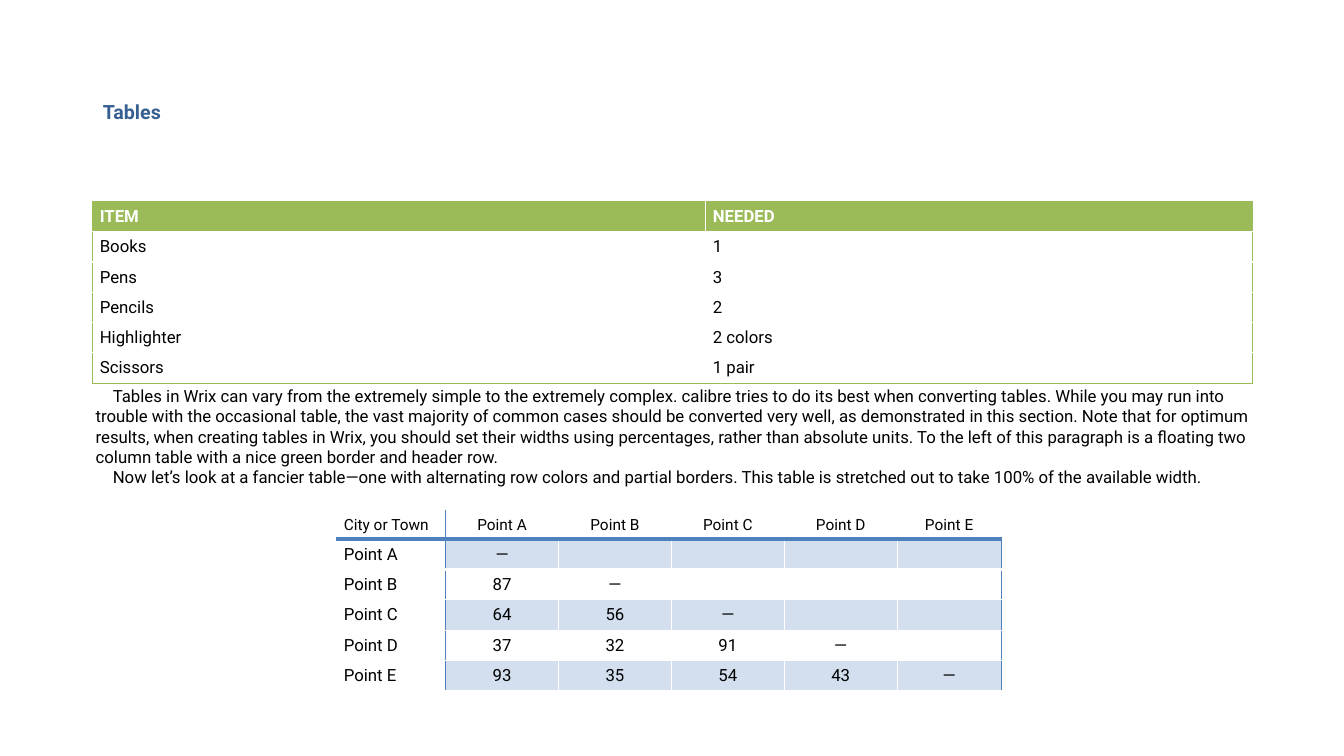
from lxml.etree import SubElement
from pptx import Presentation
from pptx.dml.color import RGBColor
from pptx.enum.text import MSO_ANCHOR, PP_ALIGN
from pptx.oxml.ns import qn
from pptx.util import Inches, Pt

# Content
TITLE = "Tables"
ITEMS = [
    ("ITEM", "NEEDED"),
    ("Books", "1"),
    ("Pens", "3"),
    ("Pencils", "2"),
    ("Highlighter", "2 colors"),
    ("Scissors", "1 pair"),
]
NOTES = [
    "Tables in Wrix can vary from the extremely simple to the extremely complex. "
    "calibre tries to do its best when converting tables. While you may run into "
    "trouble with the occasional table, the vast majority of common cases should be "
    "converted very well, as demonstrated in this section. Note that "
    "for optimum results, when creating tables in Wrix, you should set their widths "
    "using percentages, rather than absolute units. To the left of this paragraph is "
    "a floating two column table with a nice green border and header row.",
    "Now let’s look at a fancier table—one with alternating row colors and partial "
    "borders. This table is stretched out to take 100% of the available width.",
]
DISTANCES = [
    ("City or Town", "Point A", "Point B", "Point C", "Point D", "Point E"),
    ("Point A", "—", "", "", "", ""),
    ("Point B", "87", "—", "", "", ""),
    ("Point C", "64", "56", "—", "", ""),
    ("Point D", "37", "32", "91", "—", ""),
    ("Point E", "93", "35", "54", "43", "—"),
]
COLORS = {"title": "365F91", "text": "000000", "white": "FFFFFF",
          "green": "9BBB59", "blue": "4F81BD", "band": "D3DFEE"}
FONT = "Roboto"
MARGINS = {"margin_left": Inches(0.07), "margin_right": Inches(0.07),
           "margin_top": Inches(0.05), "margin_bottom": Inches(0.05)}
WHITE_LINE = ("white", 0.96)


def rgb(name):
    return RGBColor.from_string(COLORS[name])


def write(p, text, size, color="text", bold=False):
    if not text:
        p._p.get_or_add_endParaRPr().set("sz", str(size * 100))
        return
    r = p.add_run()
    r.text = text
    for key, value in {"name": FONT, "size": Pt(size), "bold": bold}.items():
        setattr(r.font, key, value)
    r.font.color.rgb = rgb(color)


def draw_border(cell, side, color, width):
    ln = SubElement(cell._tc.get_or_add_tcPr(), qn(f"a:ln{side}"), w=str(Pt(width)))
    SubElement(SubElement(ln, qn("a:solidFill")), qn("a:srgbClr"), val=COLORS[color])


# Border rules: vertical line left of column c, horizontal line above row r
def item_vertical(r, c):
    return ("green", 0.75) if c in (0, 2) else WHITE_LINE


def item_horizontal(r):
    return ("green", 0.75) if r in (0, len(ITEMS)) else WHITE_LINE


def distance_vertical(r, c):
    return ("blue", 0.75) if c == 1 or (c == 6 and r > 0) else WHITE_LINE


def distance_horizontal(r):
    return {1: ("blue", 3), 2: ("white", 3)}.get(r, WHITE_LINE)


# Cell formats: fill, text size, line spacing, text colour, bold, alignment
def item_format(r, c):
    head = r == 0
    return ("green" if head else None, 12, 14.3,
            "white" if head else "text", head, PP_ALIGN.LEFT)


def distance_format(r, c):
    size, spacing = (11, 12.8) if r == 0 else (12, 14.3)
    fill = "white" if r == 0 or c == 0 else "band" if r % 2 else None
    return (fill, size, spacing, "text", False,
            PP_ALIGN.CENTER if c else PP_ALIGN.LEFT)


def add_grid(s, rows, left, top, widths, heights, vertical, horizontal, cell_format):
    table = s.shapes.add_table(len(rows), len(widths), Inches(left), Inches(top),
                               Inches(sum(widths)), Inches(sum(heights))).table
    table.first_row = table.horz_banding = False
    for col, width in zip(table.columns, widths):
        col.width = Inches(width)
    for r, values in enumerate(rows):
        table.rows[r].height = Inches(heights[r])
        for c, text in enumerate(values):
            cell = table.cell(r, c)
            fill, size, spacing, color, bold, align = cell_format(r, c)
            for key, value in MARGINS.items():
                setattr(cell, key, value)
            p = cell.text_frame.paragraphs[0]
            p.alignment, p.line_spacing = align, Pt(spacing)
            write(p, text, size, color, bold)
            for side, line in (("L", vertical(r, c)), ("R", vertical(r, c + 1)),
                               ("T", horizontal(r)), ("B", horizontal(r + 1))):
                draw_border(cell, side, *line)
            if fill:
                cell.fill.solid()
                cell.fill.fore_color.rgb = rgb(fill)
            else:
                cell.fill.background()


def main():
    prs = Presentation()
    prs.slide_width, prs.slide_height = Inches(13.33), Inches(7.5)
    s = prs.slides.add_slide(prs.slide_layouts[5])

    # Title
    title = s.shapes.title
    title.left, title.top = Inches(0.92), Inches(0.4)
    title.width, title.height = Inches(11.5), Inches(1.45)
    title.text_frame.vertical_anchor = MSO_ANCHOR.MIDDLE
    p = title.text_frame.paragraphs[0]
    p.alignment, p.line_spacing = PP_ALIGN.LEFT, 0.9
    write(p, TITLE, 14, "title", True)

    # Shopping list
    add_grid(s, ITEMS, 0.92, 2, [6.08, 5.42], [0.3] * 6,
             item_vertical, item_horizontal, item_format)

    # Explanation with indented first lines
    tf = s.shapes.add_textbox(Inches(0.85), Inches(3.78),
                              Inches(11.81), Inches(1.3)).text_frame
    tf.word_wrap = True
    for i, text in enumerate(NOTES):
        p = tf.add_paragraph() if i else tf.paragraphs[0]
        pPr = p._p.get_or_add_pPr()
        pPr.set("marL", "0")
        pPr.set("indent", str(Inches(0.17)))
        write(p, text, 12)

    # Distances between points
    add_grid(s, DISTANCES, 3.34, 5.07, [1.08] + [1.12] * 4 + [1.03],
             [0.28] + [0.3] * 5, distance_vertical, distance_horizontal,
             distance_format)

    prs.save("out.pptx")


if __name__ == "__main__":
    main()
